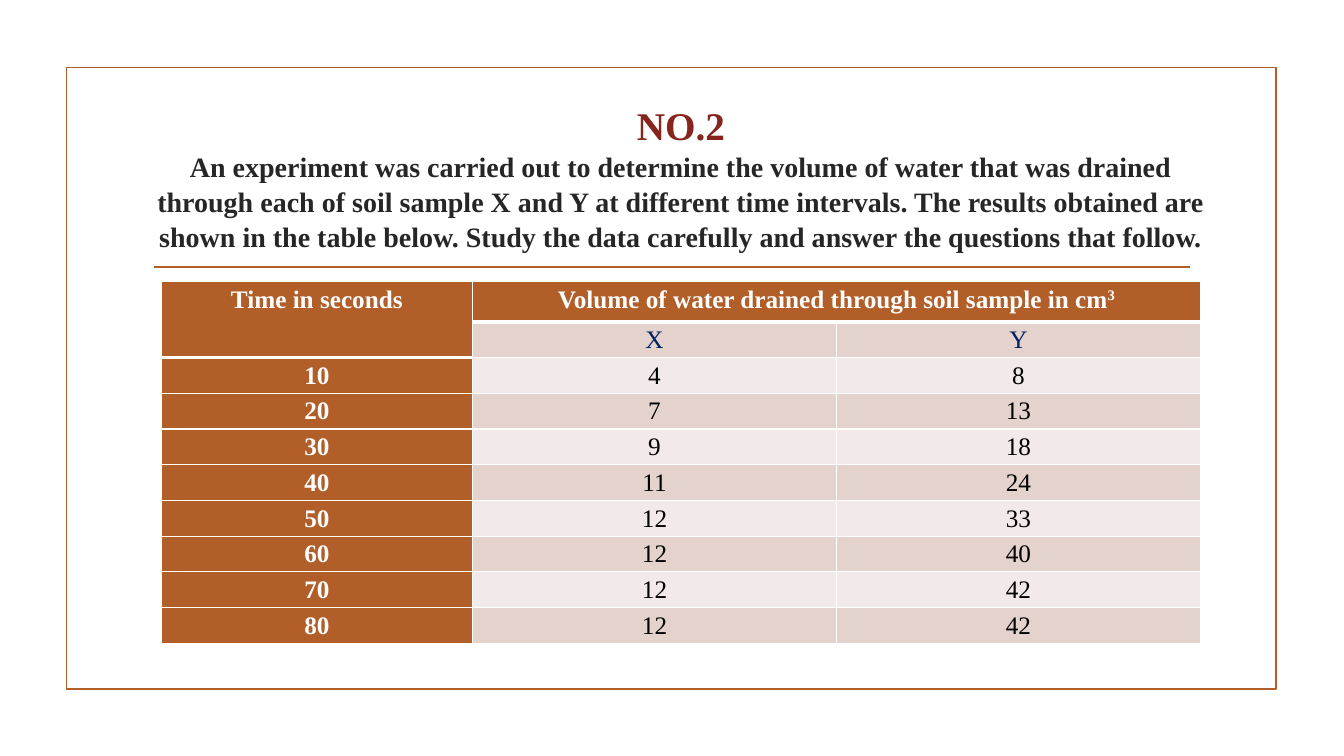
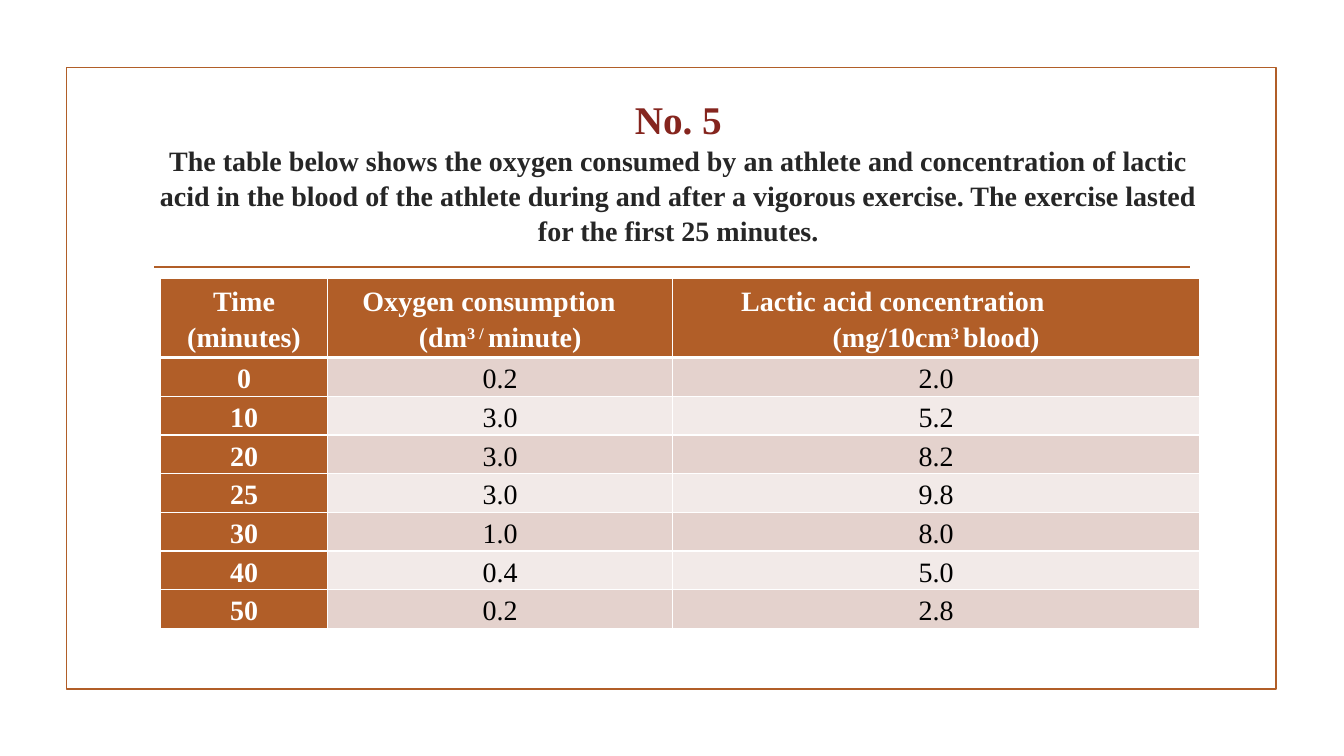
from lxml import etree
from pptx import Presentation, util as u
from pptx.dml.color import RGBColor
from pptx.enum import shapes, text
from pptx.oxml import ns

FONT = "Times New Roman"
RUST, MAROON, INK, NAVY = "B15E28", "85251E", "262626", "002060"
WHITE, BLACK = "FFFFFF", "000000"
BANDS = ("E4D2CD", "F2EAE8")
CELL_INSET = 0.18

# Text between ^ marks is superscript; a header's lines are separate paragraphs.
# "shifts" moves the first header line of a column left of its centre (cm of width).
SLIDES = [
    {
        "title": "NO.2",
        "intro": "An experiment was carried out to determine the volume of water that was "
                 "drained through each of soil sample X and Y at different time intervals. "
                 "The results obtained are shown in the table below. Study the data "
                 "carefully and answer the questions that follow.",
        "title_box": (3.61, 2.13, 27.1, 4.62),
        "table_at": (4.06, 7.09), "cols": (7.85, 9.17, 9.17), "rows": (1.02, 0.9),
        "size": 18, "anchor": text.MSO_ANCHOR.TOP, "space_before": 0, "shifts": {},
        "header": [["Time in seconds"],
                   ["Volume of water drained through soil sample in cm^3^"], [""]],
        "merges": [((0, 0), (1, 0)), ((0, 1), (0, 2))],
        "subhead_row": 1,
        "data": [("", "X", "Y"), ("10", "4", "8"), ("20", "7", "13"),
                 ("30", "9", "18"), ("40", "11", "24"), ("50", "12", "33"),
                 ("60", "12", "40"), ("70", "12", "42"), ("80", "12", "42")],
    },
    {
        "title": "No. 5",
        "intro": "The table below shows the oxygen consumed by an athlete and concentration "
                 "of lactic acid in the blood of the athlete during and after a vigorous "
                 "exercise. The exercise lasted for the first 25 minutes.",
        "title_box": (3.76, 2.21, 26.67, 4.14),
        "table_at": (4.04, 7.01), "cols": (4.22, 8.69, 13.28), "rows": (2, 0.97),
        "size": 20, "anchor": text.MSO_ANCHOR.MIDDLE, "space_before": 12,
        "shifts": {1: 0.56, 2: 2.17},
        "header": [["Time (minutes)"],
                   ["Oxygen consumption", "(dm^3 / ^minute)"],
                   ["Lactic acid concentration", "(mg/10cm^3 ^blood)"]],
        "merges": [],
        "subhead_row": None,
        "data": [("0", "0.2", "2.0"), ("10", "3.0", "5.2"), ("20", "3.0", "8.2"),
                 ("25", "3.0", "9.8"), ("30", "1.0", "8.0"), ("40", "0.4", "5.0"),
                 ("50", "0.2", "2.8")],
    },
]


def rgb(value):
    return RGBColor.from_string(value)


def style(r, size, color, bold):
    r.font.name, r.font.size, r.font.bold = FONT, u.Pt(size), bold
    r.font.color.rgb = rgb(color)


def add_frame(s):
    sp = s.shapes.add_shape(shapes.MSO_SHAPE.RECTANGLE,
                            *map(u.Cm, (1.68, 1.7, 30.48, 15.67)))
    sp.shadow.inherit = False
    sp.fill.background()
    rule = s.shapes.add_connector(shapes.MSO_CONNECTOR.STRAIGHT,
                                  *map(u.Cm, (3.89, 6.73, 30, 6.73)))
    etree.SubElement(rule._element.spPr, ns.qn("a:effectLst"))
    for item in (sp, rule):
        item.line.color.rgb = rgb(RUST)
        item.line.width = u.Pt(1.25)


def add_title(s, content):
    tf = s.shapes.add_textbox(*map(u.Cm, content["title_box"])).text_frame
    tf.word_wrap = True
    tf.vertical_anchor = text.MSO_ANCHOR.MIDDLE
    p = tf.paragraphs[0]
    p.text = content["title"] + "\v" + content["intro"]
    p.alignment = text.PP_ALIGN.CENTER
    p.line_spacing = 1.04
    style(p.runs[0], 28, MAROON, True)
    style(p.runs[1], 20, INK, True)


def set_borders(cell, bottom):
    tcPr = cell._tc.get_or_add_tcPr()
    for side, width in (("L", 1), ("R", 1), ("T", 1), ("B", bottom)):
        ln = etree.SubElement(tcPr, ns.qn("a:ln" + side), w=str(u.Pt(width)))
        fill = etree.SubElement(ln, ns.qn("a:solidFill"))
        etree.SubElement(fill, ns.qn("a:srgbClr"), val=WHITE)


def write_line(p, line, size, color, bold):
    p.alignment = text.PP_ALIGN.CENTER
    p.line_spacing = 1.15
    for i, piece in enumerate(line.split("^")):
        if piece:
            r = p.add_run()
            r.text = piece
            style(r, size, color, bold)
            if i % 2:
                r.font._element.set("baseline", "30000")


def fill_cell(cell, lines, content, fill, color, bold, bottom=1, shift=0):
    cell.margin_top = cell.margin_bottom = 0
    cell.margin_left = u.Cm(CELL_INSET)
    cell.margin_right = u.Cm(CELL_INSET + shift)
    cell.vertical_anchor = content["anchor"]
    set_borders(cell, bottom)
    cell.fill.solid()
    cell.fill.fore_color.rgb = rgb(fill)
    tf = cell.text_frame
    for i, line in enumerate(lines):
        p = tf.add_paragraph() if i else tf.paragraphs[0]
        write_line(p, line, content["size"], color, bold)
        if i and shift:
            p._p.get_or_add_pPr().set("marL", str(u.Cm(shift)))


def add_data_table(s, content):
    cols, (head_h, row_h) = content["cols"], content["rows"]
    data = content["data"]
    size = sum(cols), head_h + row_h * len(data)
    table = s.shapes.add_table(len(data) + 1, len(cols),
                               *map(u.Cm, content["table_at"] + size)).table
    for column, width in zip(table.columns, cols):
        column.width = u.Cm(width)
    for i, row in enumerate(table.rows):
        row.height = u.Cm(row_h if i else head_h)

    for c, lines in enumerate(content["header"]):
        cell = table.cell(0, c)
        fill_cell(cell, lines, content, RUST, WHITE, True, bottom=3,
                  shift=content["shifts"].get(c, 0))
        cell.text_frame.paragraphs[0].space_before = u.Pt(content["space_before"])
    for r, values in enumerate(data, 1):
        subhead = r == content["subhead_row"]
        for c, value in enumerate(values):
            if c == 0:
                look = RUST, WHITE, True, 3 if subhead else 1
            else:
                look = BANDS[(r - 1) % 2], NAVY if subhead else BLACK, False
            fill_cell(table.cell(r, c), [value], content, *look)
    for first, last in content["merges"]:
        table.cell(*first).merge(table.cell(*last))


def main():
    prs = Presentation()
    prs.slide_width, prs.slide_height = u.Cm(33.87), u.Cm(19.05)
    for content in SLIDES:
        s = prs.slides.add_slide(prs.slide_layouts[6])
        add_frame(s)
        add_title(s, content)
        add_data_table(s, content)
    prs.save("out.pptx")


if __name__ == "__main__":
    main()
